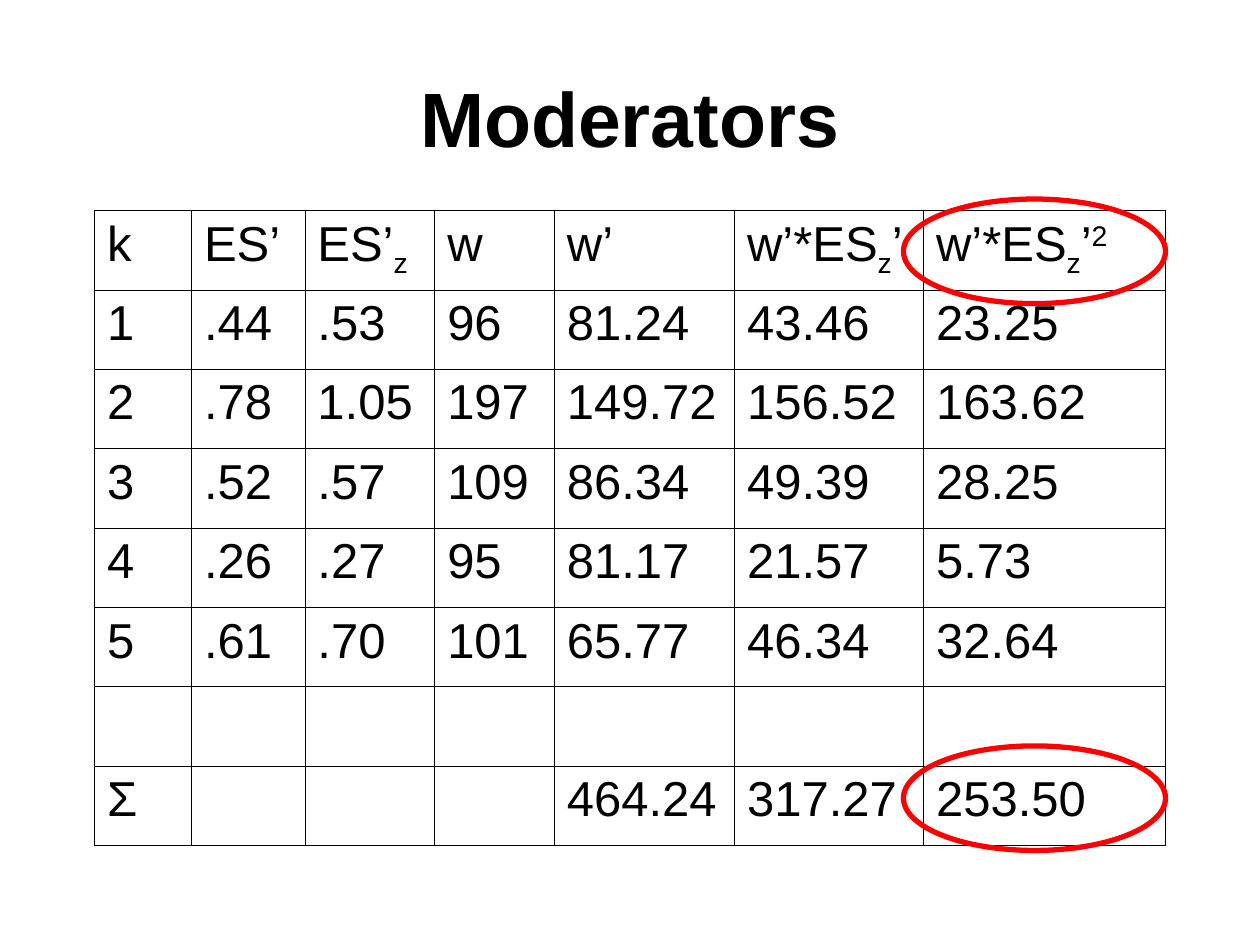
from typing import NamedTuple

import lxml.etree
import pptx
import pptx.dml.color
import pptx.enum.shapes
import pptx.enum.text
import pptx.oxml.ns
import pptx.util

PX = 9144
BLACK = pptx.dml.color.RGBColor(0x00, 0x00, 0x00)
RED = pptx.dml.color.RGBColor(0xFF, 0x00, 0x00)
FONT = "Arial"
THIN, THICK = 0.45, 1.08


class Box(NamedTuple):
    left: int
    top: int
    width: int
    height: int

    def emu(self) -> list[int]:
        return [v * PX for v in self]


class Run(NamedTuple):
    text: str
    baseline: int = 0


TITLE_BOX = Box(50, 30, 900, 125)
TABLE_BOX = Box(75, 167, 850, 504)
COL_WIDTHS = [77, 90, 103, 95, 143, 150, 192]
RINGS = [Box(717, top, 208, 83) for top in (158, 592)]

SUB_Z = Run("z", -25000)
PRODUCT = [Run("w’*ES"), SUB_Z, Run("’")]
HEADER = [
    [Run("k")], [Run("ES’")], [Run("ES’"), SUB_Z], [Run("w")], [Run("w’")],
    PRODUCT, PRODUCT + [Run("2", 30000)],
]
DATA = [
    ["1", ".44", ".53", "96", "81.24", "43.46", "23.25"],
    ["2", ".78", "1.05", "197", "149.72", "156.52", "163.62"],
    ["3", ".52", ".57", "109", "86.34", "49.39", "28.25"],
    ["4", ".26", ".27", "95", "81.17", "21.57", "5.73"],
    ["5", ".61", ".70", "101", "65.77", "46.34", "32.64"],
    [""] * 7,
    ["Σ", "", "", "", "464.24", "317.27", "253.50"],
]
ROWS = HEADER, *[[[Run(text)] if text else [] for text in row] for row in DATA]


def add_runs(p, runs: list[Run], size: int, bold: bool = False) -> None:
    for run in runs:
        r = p.add_run()
        r.text = run.text
        r.font.name = FONT
        r.font.size = pptx.util.Pt(size)
        r.font.bold = bold
        r.font.color.rgb = BLACK
        if run.baseline:
            r._r.get_or_add_rPr().set("baseline", str(run.baseline))


def add_title(s, box: Box, text: str) -> None:
    sp = s.shapes.add_textbox(*box.emu())
    tf = sp.text_frame
    tf.word_wrap = True
    tf.vertical_anchor = pptx.enum.text.MSO_ANCHOR.MIDDLE
    p = tf.paragraphs[0]
    p.alignment = pptx.enum.text.PP_ALIGN.CENTER
    add_runs(p, [Run(text)], 44, bold=True)


def set_border(cell, side: str, width: float) -> None:
    qn = pptx.oxml.ns.qn
    ln = lxml.etree.SubElement(cell._tc.get_or_add_tcPr(), qn(f"a:ln{side}"))
    ln.set("w", str(pptx.util.Pt(width)))
    fill = lxml.etree.SubElement(ln, qn("a:solidFill"))
    lxml.etree.SubElement(fill, qn("a:srgbClr")).set("val", str(BLACK))


def add_table(s, box: Box) -> None:
    n_rows, n_cols = len(ROWS), len(COL_WIDTHS)
    table = s.shapes.add_table(n_rows, n_cols, *box.emu()).table
    table.first_row = table.horz_banding = False
    for column, width in zip(table.columns, COL_WIDTHS):
        column.width = width * PX
    for i, row in enumerate(ROWS):
        for j, runs in enumerate(row):
            cell = table.cell(i, j)
            outer = {"L": j == 0, "R": j == n_cols - 1, "T": i == 0, "B": i == n_rows - 1}
            for side, is_outer in outer.items():
                set_border(cell, side, THICK if is_outer else THIN)
            cell.fill.background()
            add_runs(cell.text_frame.paragraphs[0], runs, 28)


def add_ring(s, box: Box) -> None:
    sp = s.shapes.add_shape(pptx.enum.shapes.MSO_SHAPE.OVAL, *box.emu())
    sp.shadow.inherit = False
    sp.fill.background()
    sp.line.color.rgb = RED
    sp.line.width = pptx.util.Pt(3)


def main() -> None:
    prs = pptx.Presentation()
    prs.slide_width, prs.slide_height = 1000 * PX, 750 * PX
    s = prs.slides.add_slide(prs.slide_layouts[6])
    add_title(s, TITLE_BOX, "Moderators")
    add_table(s, TABLE_BOX)
    for ring in RINGS:
        add_ring(s, ring)
    prs.save("out.pptx")


if __name__ == "__main__":
    main()
